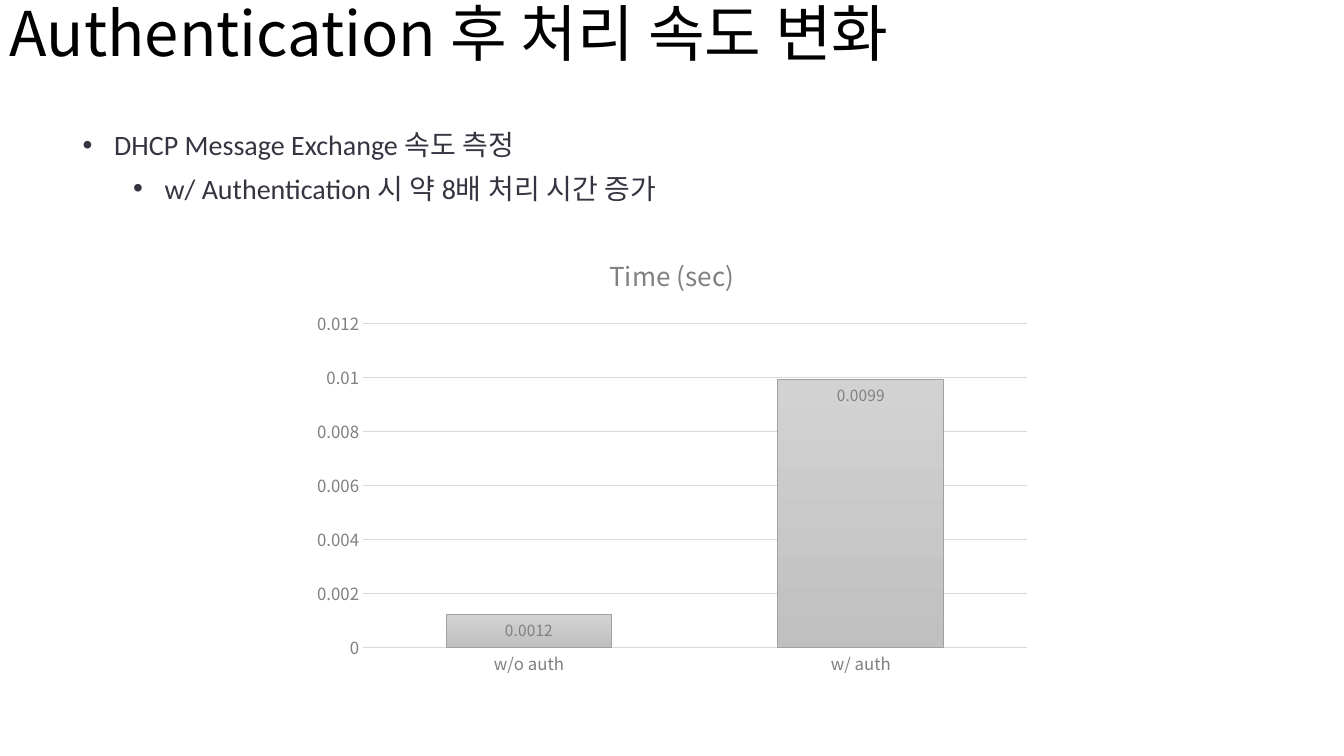
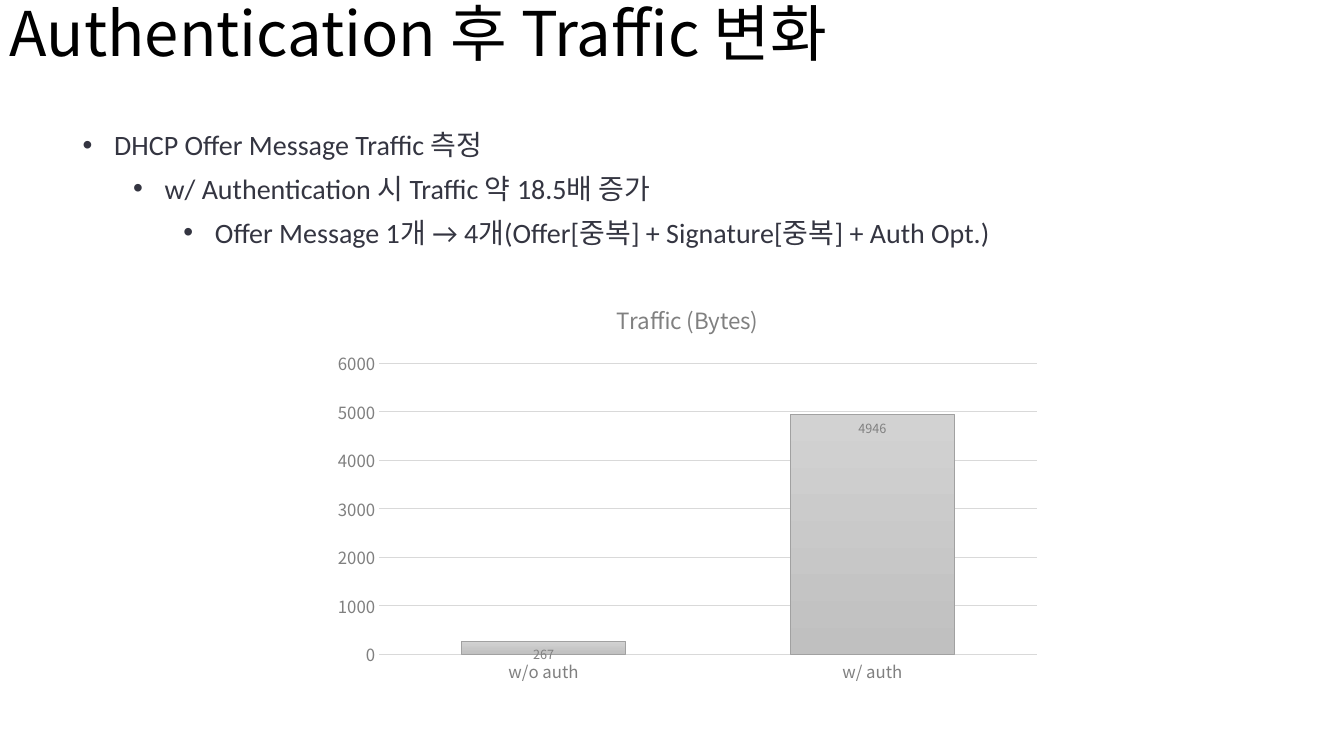
from lxml import etree
from pptx import Presentation
from pptx import util as u
from pptx.chart import data
from pptx.dml.color import RGBColor
from pptx.enum import chart as charts, text
from pptx.oxml import ns

COLOURS = {"title": "000000", "body": "343541", "label": "808080", "grid": "D9D9D9",
           "bar_top": "D2D2D2", "bar_bottom": "C0C0C0", "bar_edge": "A1A1A1"}
RGB = {name: RGBColor.from_string(value) for name, value in COLOURS.items()}
SANS, BODY = "Noto Sans CJK KR", "Calibri"
INDENT, LEVEL_STEP = 22.5, 36

SLIDES = [
    {"title": "Authentication 후 처리 속도 변화",
     "bullets": ["DHCP Message Exchange 속도 측정",
                 "w/ Authentication 시 약 8배 처리 시간 증가"],
     "body": (858, 310), "chart": (216, 167, 528, 322.5),
     "chart_title": "Time (sec)", "title_size": 18.6, "label_size": 11,
     "values": (0.0012, 0.0099), "top": 0.012, "step": 0.002},
    {"title": "Authentication 후 Traffic 변화",
     "bullets": ["DHCP Offer Message Traffic 측정",
                 "w/ Authentication 시 Traffic 약 18.5배 증가",
                 "Offer Message 1개 → 4개(Offer[중복] + Signature[중복] + Auth Opt.)"],
     "body": (878, 341), "chart": (231, 203, 520, 291),
     "chart_title": "Traffic (Bytes)", "title_size": 16, "label_size": 9,
     "values": (267, 4946), "top": 6000, "step": 1000},
]


def style(font, name, size, colour):
    """Set the Latin and East Asian typeface, size and colour of a font."""
    font.name, font.size, font.bold = name, u.Pt(size), False
    font.color.rgb = RGB[colour]
    latin = font._element.find(ns.qn("a:latin"))
    east_asian = etree.Element(ns.qn("a:ea"), typeface=name)
    latin.addnext(east_asian)


def add_frame(page, left, top, width, height):
    """Add a wrapping text box and return its text frame."""
    box = page.shapes.add_textbox(u.Pt(left), u.Pt(top), u.Pt(width), u.Pt(height))
    box.text_frame.word_wrap = True
    return box.text_frame


deck = Presentation()
deck.slide_width, deck.slide_height = u.Pt(960), u.Pt(540)

for content in SLIDES:
    page = deck.slides.add_slide(deck.slide_layouts[6])

    # Title
    frame = add_frame(page, 0, 0, 828, 52)
    frame.margin_top = frame.margin_bottom = 0
    frame.vertical_anchor = text.MSO_ANCHOR.MIDDLE
    para = frame.paragraphs[0]
    para.text, para.line_spacing = content["title"], 0.9
    style(para.font, SANS, 44, "title")

    # Bullets, one level deeper on each line
    frame = add_frame(page, 52, 80.5, *content["body"])
    for level, line in enumerate(content["bullets"]):
        para = frame.paragraphs[0] if level == 0 else frame.add_paragraph()
        para.text, para.level, para.line_spacing = line, level, 1.3
        props = para._p.get_or_add_pPr()
        props.set("marL", str(u.Pt(INDENT + level * LEVEL_STEP)))
        props.set("indent", str(-u.Pt(INDENT)))
        etree.SubElement(props, ns.qn("a:buFont"), typeface="Arial")
        etree.SubElement(props, ns.qn("a:buChar"), char="•")
        style(para.font, BODY, 20, "body")

    # Column chart
    chart_data = data.CategoryChartData()
    chart_data.categories = ["w/o auth", "w/ auth"]
    chart_data.add_series("Series 1", content["values"])
    chart = page.shapes.add_chart(charts.XL_CHART_TYPE.COLUMN_CLUSTERED,
                                  *map(u.Pt, content["chart"]), chart_data).chart
    chart.has_legend = False
    chart.font.name, chart.font.size = SANS, u.Pt(10)
    chart.has_title = True
    chart.chart_title.include_in_layout = False
    para = chart.chart_title.text_frame.paragraphs[0]
    para.text = content["chart_title"]
    style(para.runs[0].font, SANS, content["title_size"], "label")

    # Axes
    for axis in (chart.category_axis, chart.value_axis):
        axis.major_tick_mark = axis.minor_tick_mark = charts.XL_TICK_MARK.NONE
        style(axis.tick_labels.font, SANS, 12, "label")
    values = chart.value_axis
    values.minimum_scale, values.maximum_scale = 0, content["top"]
    values.major_unit = content["step"]
    values.format.line.fill.background()
    for line in (chart.category_axis.format.line, values.major_gridlines.format.line):
        line.color.rgb, line.width = RGB["grid"], u.Pt(0.75)

    # Bars and their labels
    plot = chart.plots[0]
    plot.gap_width, plot.overlap, plot.vary_by_categories = 100, -24, False
    bars = plot.series[0]
    fill = bars.format.fill
    fill.gradient()
    fill.gradient_angle = 270
    for stop, colour in zip(fill.gradient_stops, ("bar_top", "bar_bottom")):
        stop.color.rgb = RGB[colour]
    bars.format.line.color.rgb = RGB["bar_edge"]
    bars.format.line.width = u.Pt(0.75)
    labels = bars.data_labels
    labels.show_value = True
    labels.position = charts.XL_LABEL_POSITION.INSIDE_END
    style(labels.font, SANS, content["label_size"], "label")

deck.save("out.pptx")
